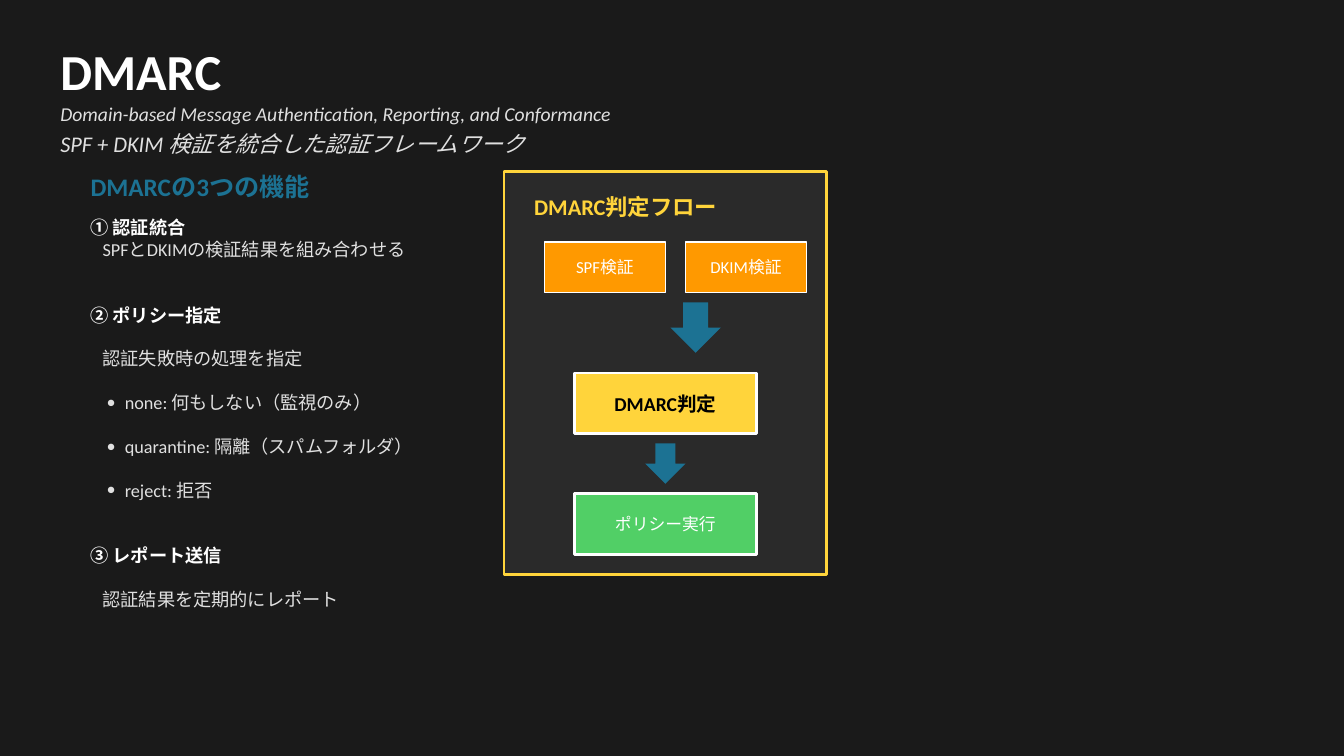
"""Build the DMARC slide: its three functions beside the decision flow."""
from lxml.etree import SubElement
from pptx import Presentation
from pptx.dml.color import RGBColor
from pptx.enum.shapes import MSO_SHAPE
from pptx.enum.text import MSO_ANCHOR, PP_ALIGN
from pptx.oxml.ns import qn
from pptx.util import Inches, Pt

COLORS = {
    "ground": "1A1A1A", "panel": "2A2A2A", "white": "FFFFFF", "pale": "E0E0E0",
    "black": "000000", "teal": "1C7293", "yellow": "FFD43B", "orange": "FF9900",
    "green": "51CF66",
}
FONT = "Calibri"
CELL = Inches(0.1)
BODY_SIZE = 13
BODY_LINE = 15.6

deck = Presentation()
deck.slide_width, deck.slide_height = Inches(13.33), Inches(7.5)
page = deck.slides.add_slide(deck.slide_layouts[6])
page.background.fill.solid()
page.background.fill.fore_color.rgb = RGBColor.from_string(COLORS["ground"])


def write(para, text, size=12, color="white", bold=False, italic=False, align=PP_ALIGN.LEFT):
    para.alignment = align
    span = para.add_run()
    span.text = text
    span.font.name = FONT
    span.font.size = Pt(size)
    span.font.bold = bold
    span.font.italic = italic
    span.font.color.rgb = RGBColor.from_string(COLORS[color])


def add_block(kind, column, row, columns, rows, fill, line_width=0, line="white"):
    block = page.shapes.add_shape(kind, *(int(CELL * n) for n in (column, row, columns, rows)))
    block.shadow.inherit = False
    block.fill.solid()
    block.fill.fore_color.rgb = RGBColor.from_string(COLORS[fill])
    if line_width:
        block.line.color.rgb = RGBColor.from_string(COLORS[line])
        block.line.width = Pt(line_width)
    else:
        block.line.fill.background()
    return block


add_block(MSO_SHAPE.RECTANGLE, 50, 17, 32, 40, "panel", 2, "yellow")

headings = [
    (5, 5, 90, 4, "DMARC", dict(size=36, bold=True)),
    (5, 10, 90, 2.5, "Domain-based Message Authentication, Reporting, and Conformance",
     dict(size=14, color="pale", italic=True)),
    (5, 13, 90, 2.5, "SPF + DKIM 検証を統合した認証フレームワーク",
     dict(size=16, color="pale", italic=True)),
    (8, 17, 35, 3, "DMARCの3つの機能", dict(size=18, color="teal", bold=True)),
    (52, 19, 28, 3, "DMARC判定フロー", dict(size=16, color="yellow", bold=True)),
]
for column, row, columns, rows, text, style in headings:
    box = page.shapes.add_textbox(*(int(CELL * n) for n in (column, row, columns, rows)))
    box.text_frame.word_wrap = True
    box.text_frame.vertical_anchor = MSO_ANCHOR.MIDDLE
    write(box.text_frame.paragraphs[0], text, **style)

functions = [
    ("heading", "① 認証統合", 0),
    ("detail", "SPFとDKIMの検証結果を組み合わせる", 0),
    ("heading", "② ポリシー指定", 2),
    ("detail", "認証失敗時の処理を指定", 1),
    ("bullet", "none: 何もしない（監視のみ）", 1),
    ("bullet", "quarantine: 隔離（スパムフォルダ）", 1),
    ("bullet", "reject: 拒否", 1),
    ("heading", "③ レポート送信", 2),
    ("detail", "認証結果を定期的にレポート", 1),
]
indents = {"heading": (0, 0), "detail": (0.12, 0), "bullet": (0.34, -0.18)}
box = page.shapes.add_textbox(CELL * 8, CELL * 21, CELL * 35, CELL * 35)
box.text_frame.word_wrap = True
for index, (role, text, gap_lines) in enumerate(functions):
    para = box.text_frame.add_paragraph() if index else box.text_frame.paragraphs[0]
    para.space_before = Pt(gap_lines * BODY_LINE)
    is_heading = role == "heading"
    write(para, text, size=BODY_SIZE, color="white" if is_heading else "pale", bold=is_heading)
    margin, hanging = indents[role]
    properties = para._p.get_or_add_pPr()
    properties.set("marL", str(Inches(margin)))
    properties.set("indent", str(Inches(hanging)))
    if role == "bullet":
        SubElement(properties, qn("a:buFont")).set("typeface", FONT)
        SubElement(properties, qn("a:buChar")).set("char", "•")

steps = [
    (54, 24, 12, 5, "orange", 1, "SPF検証", {}),
    (68, 24, 12, 5, "orange", 1, "DKIM検証", {}),
    (57, 37, 18, 6, "yellow", 2, "DMARC判定", dict(size=14, color="black", bold=True)),
    (57, 49, 18, 6, "green", 2, "ポリシー実行", {}),
]
for column, row, columns, rows, fill, line_width, text, style in steps:
    step = add_block(MSO_SHAPE.RECTANGLE, column, row, columns, rows, fill, line_width)
    step.text_frame.word_wrap = True
    step.text_frame.vertical_anchor = MSO_ANCHOR.MIDDLE
    write(step.text_frame.paragraphs[0], text, align=PP_ALIGN.CENTER, **style)

for column, row, side in [(66.5, 30, 5), (64, 44, 4)]:
    add_block(MSO_SHAPE.DOWN_ARROW, column, row, side, side, "teal")

deck.save("out.pptx")
